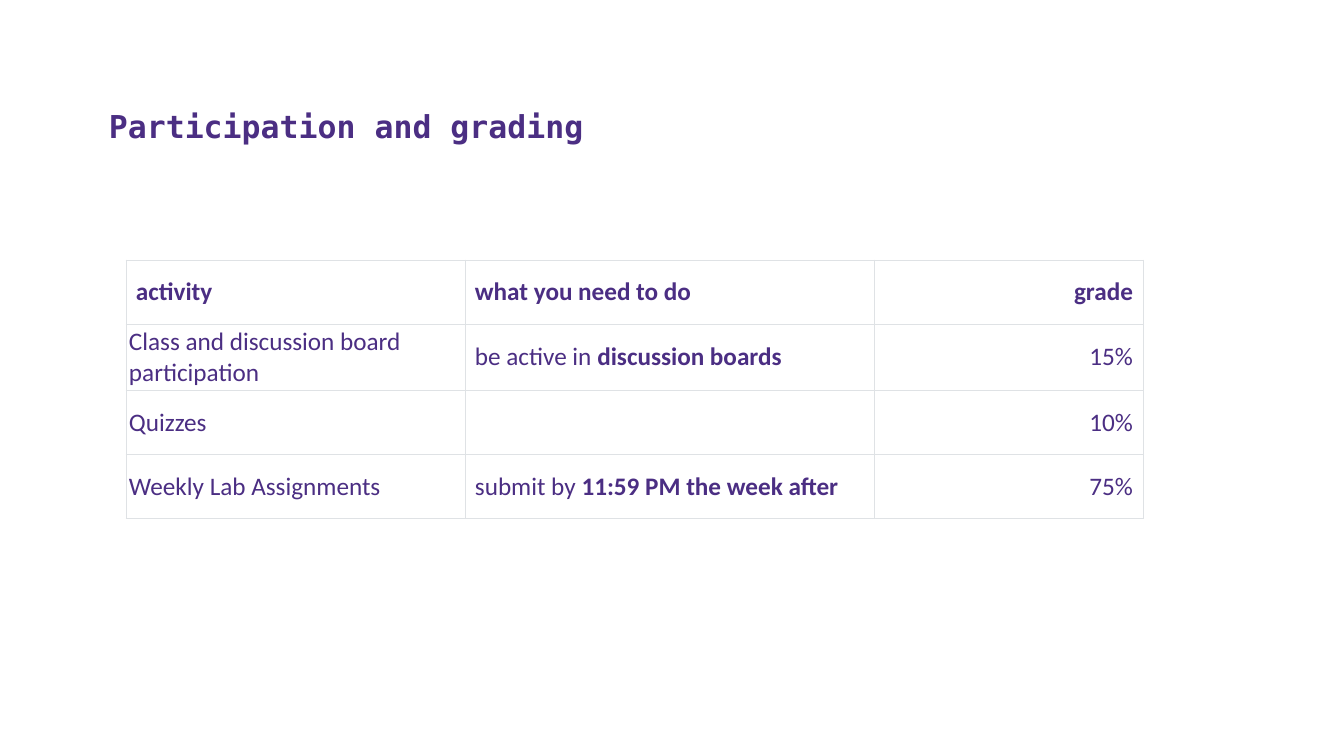
from lxml import etree
from pptx import Presentation
from pptx.dml.color import RGBColor
from pptx.enum.text import MSO_ANCHOR, PP_ALIGN
from pptx.oxml.ns import qn
from pptx.util import Pt

PX = 914400 / 100.8
MIDDLE, BOTTOM = MSO_ANCHOR.MIDDLE, MSO_ANCHOR.BOTTOM
LEFT, RIGHT = PP_ALIGN.LEFT, PP_ALIGN.RIGHT
PURPLE, GRAY, WHITE = "4B2E83", "DFE2E5", "FFFFFF"
COLS = [339, 409, 269]
ROW = 64
ROWS = [
    [[("activity", True)], [("what you need to do", True)], [("grade", True)]],
    [[("Class and discussion board participation", False)],
     [("be active in ", False), ("discussion boards", True)], [("15%", False)]],
    [[("Quizzes", False)], [], [("10%", False)]],
    [[("Weekly Lab Assignments", False)],
     [("submit by ", False), ("11:59 PM the week after", True)], [("75%", False)]],
]


def px(n):
    """Turn pixels into EMU."""
    return round(n * PX)


def color(code):
    """Turn a hex string into a colour."""
    return RGBColor.from_string(code)


def add_run(para, text, size, face, bold):
    """Add one purple run to a paragraph."""
    run = para.add_run()
    run.text = text
    font = run.font
    font.size, font.name, font.bold = Pt(size), face, bold
    font.color.rgb = color(PURPLE)


def add_title(slide, x, y, w, h):
    """Place the title at the bottom of its box."""
    frame = slide.shapes.add_textbox(px(x), px(y), px(w), px(h)).text_frame
    frame.word_wrap = True
    frame.vertical_anchor = BOTTOM
    add_run(frame.paragraphs[0], "Participation and grading", 22.5, "DejaVu Sans Mono", True)


def add_edges(cell):
    """Draw thin gray borders on all sides of a cell."""
    props = cell._tc.get_or_add_tcPr()
    for side in ("a:lnL", "a:lnR", "a:lnT", "a:lnB"):
        line = etree.SubElement(props, qn(side), w=str(Pt(0.6)))
        fill = etree.SubElement(line, qn("a:solidFill"))
        etree.SubElement(fill, qn("a:srgbClr"), val=GRAY)


def fill_cell(cell, runs, align, inset):
    """Style one cell and write its runs."""
    add_edges(cell)
    cell.fill.solid()
    cell.fill.fore_color.rgb = color(WHITE)
    cell.vertical_anchor = MIDDLE
    side, edge = inset
    cell.margin_left = cell.margin_right = px(side)
    cell.margin_top = cell.margin_bottom = px(edge)
    para = cell.text_frame.paragraphs[0]
    para.alignment = align
    for text, bold in runs:
        add_run(para, text, 18, "Calibri", bold)


def add_grades(slide, x, y):
    """Place the grading table with its top left corner at x, y."""
    frame = slide.shapes.add_table(
        len(ROWS), len(COLS), px(x), px(y), px(sum(COLS)), px(ROW * len(ROWS)))
    table = frame.table
    table.first_row = table.horz_banding = False
    for col, width in zip(table.columns, COLS):
        col.width = px(width)
    for r, row in enumerate(ROWS):
        table.rows[r].height = px(ROW)
        for c, runs in enumerate(row):
            inset = (3, 3) if r and c == 0 else (10, 5)
            fill_cell(table.cell(r, c), runs, RIGHT if c == 2 else LEFT, inset)


def main():
    """Build and save the slide."""
    deck = Presentation()
    deck.slide_width, deck.slide_height = px(1344), px(756)
    slide = deck.slides.add_slide(deck.slide_layouts[6])
    add_title(slide, 99, 41, 1203, 109)
    add_grades(slide, 126, 260)
    deck.save("out.pptx")


if __name__ == "__main__":
    main()
